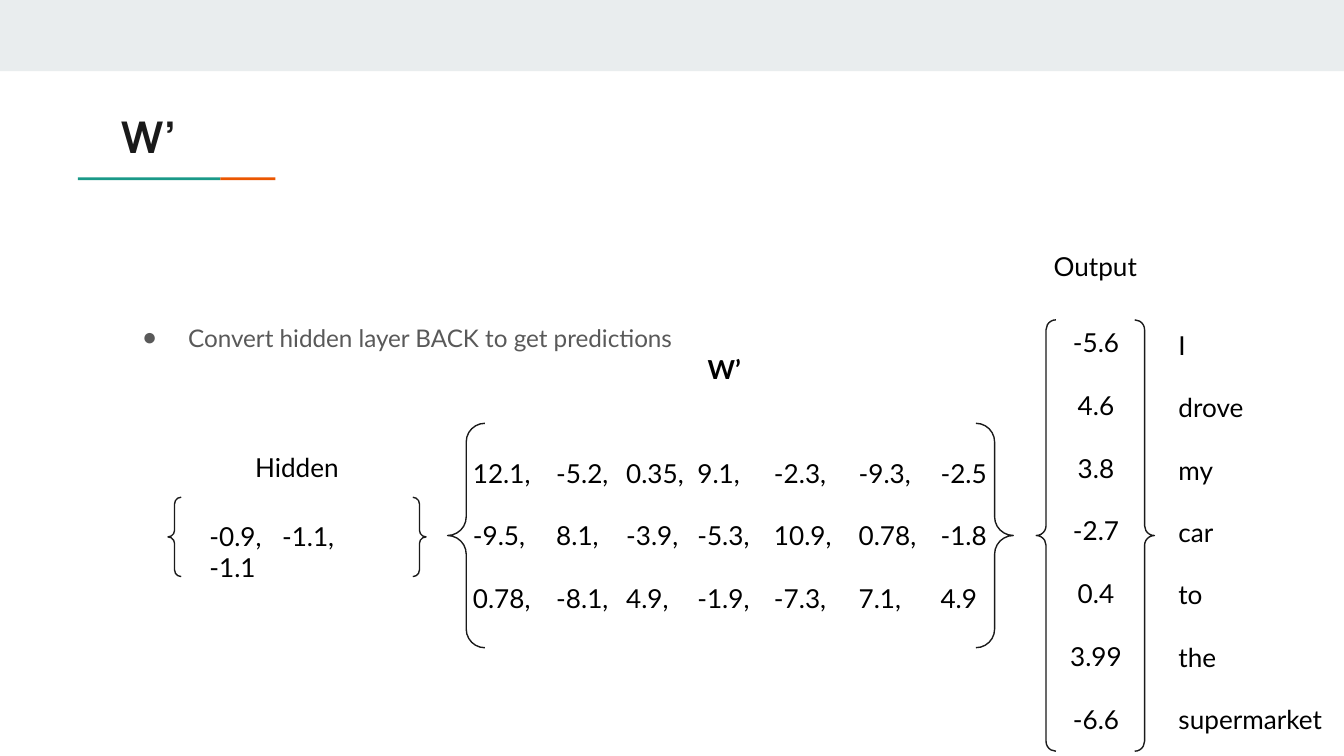
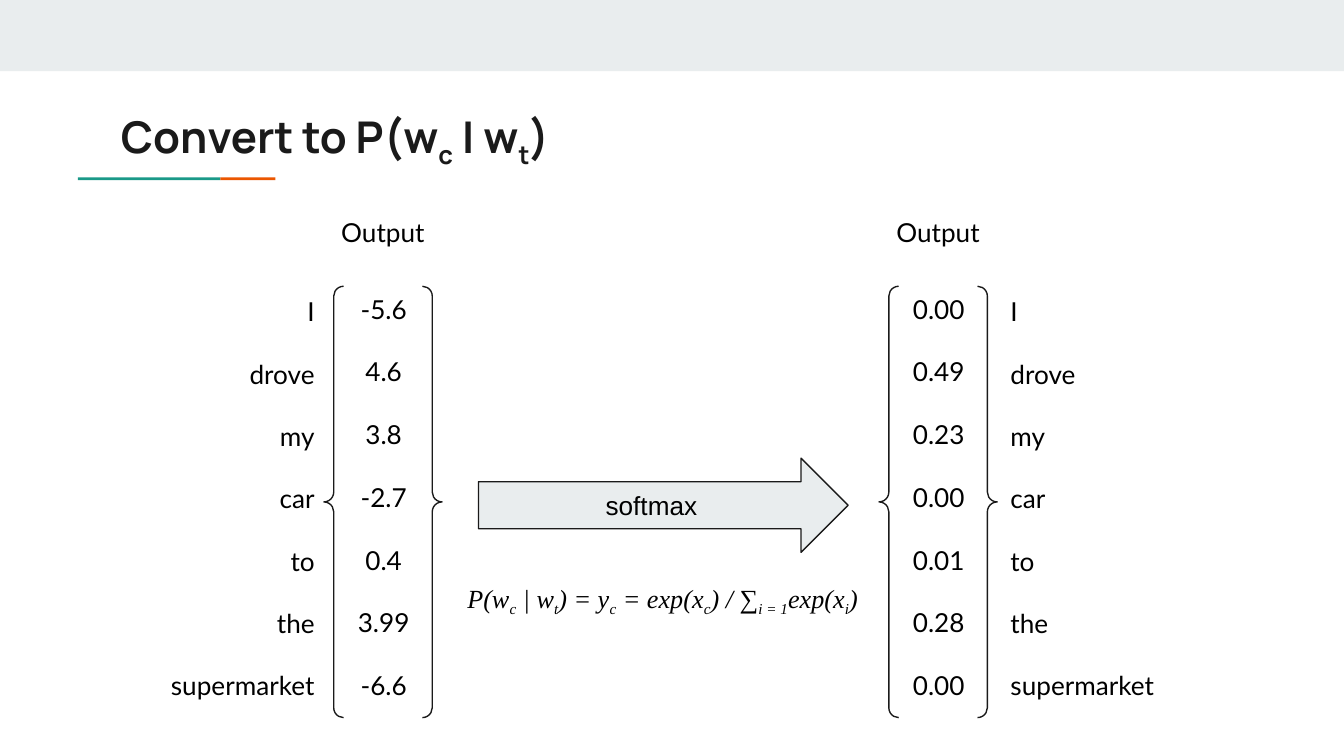
"""Build two slides on turning a hidden layer into word probabilities."""
import dataclasses

import lxml.etree
import pptx
import pptx.dml.color
import pptx.enum.shapes
import pptx.enum.text
import pptx.oxml.ns
import pptx.presentation
import pptx.shapes.autoshape
import pptx.slide
import pptx.text.text
import pptx.util

Inches = pptx.util.Inches
Pt = pptx.util.Pt
Align = pptx.enum.text.PP_ALIGN
Anchor = pptx.enum.text.MSO_ANCHOR
AutoSize = pptx.enum.text.MSO_AUTO_SIZE
Preset = pptx.enum.shapes.MSO_SHAPE
RGBColor = pptx.dml.color.RGBColor

BAND = RGBColor(0xE9, 0xED, 0xEE)
TEAL = RGBColor(0x1A, 0x99, 0x88)
ORANGE = RGBColor(0xEB, 0x56, 0x00)
INK = RGBColor(0x1A, 0x1A, 0x1A)
GREY = RGBColor(0x59, 0x59, 0x59)
BLACK = RGBColor(0, 0, 0)

ROW_GAP = 16.8
WORD_STEP = 0.464
WORDS = ["I", "drove", "my", "car", "to", "the", "supermarket"]
SCORES = ["-5.6", "4.6", "3.8", "-2.7", "0.4", "3.99", "-6.6"]
PROBABILITIES = ["0.00", "0.49", "0.23", "0.00", "0.01", "0.28", "0.00"]
WEIGHTS = [
    "12.1,\t-5.2,\t0.35,\t9.1,\t-2.3,\t-9.3,\t-2.5",
    "-9.5,\t8.1,\t-3.9,\t-5.3,\t10.9,\t0.78,\t-1.8",
    "0.78,\t-8.1,\t4.9,\t-1.9,\t-7.3,\t7.1,\t4.9",
]
WEIGHT_TABS = (0.62, 1.14, 1.67, 2.24, 2.87, 3.48)


@dataclasses.dataclass(frozen=True)
class Box:
    """Place and size in inches."""
    left: float
    top: float
    width: float
    height: float

    def lengths(self) -> tuple[pptx.util.Length, ...]:
        """Return left, top, width and height as lengths."""
        return tuple(Inches(v) for v in dataclasses.astuple(self))


@dataclasses.dataclass(frozen=True)
class OutputVector:
    """A braced column of values with one word beside each."""
    left: float
    top: float
    values: list[str]
    words_left: float
    words_align: Align = Align.LEFT


BAND_BOX = Box(0, 0, 10, 0.53)
TITLE_BOX = Box(0.8, 0.72, 8.41, 0.59)
RULES = [(Box(0.58, 1.32, 1.06, 0.02), TEAL), (Box(1.64, 1.32, 0.41, 0.02), ORANGE)]


def write_text(frame: pptx.text.text.TextFrame, lines: list[str], *, size: float = 14,
               font: str = "Lato", color: RGBColor = BLACK, bold: bool = False,
               italic: bool = False, align: Align = Align.LEFT, gap: float = 0,
               spacing: float = 1.0, bullet: str = "", tabs: tuple[float, ...] = (),
               anchor: Anchor = Anchor.TOP, auto_size: AutoSize = AutoSize.NONE) -> None:
    """Fill a frame with lines, setting the parts in braces as subscripts."""
    qn = pptx.oxml.ns.qn
    frame.word_wrap = True
    frame.auto_size = auto_size
    frame.vertical_anchor = anchor
    frame.margin_left = frame.margin_right = Inches(0.1)
    frame.margin_top = frame.margin_bottom = Inches(0.1)
    for index, line in enumerate(lines):
        paragraph = frame.add_paragraph() if index else frame.paragraphs[0]
        props = paragraph._p.get_or_add_pPr()
        if tabs:
            stops = lxml.etree.SubElement(props, qn("a:tabLst"))
            for tab in tabs:
                stop = lxml.etree.SubElement(stops, qn("a:tab"))
                stop.set("pos", str(Inches(tab)))
                stop.set("algn", "l")
        else:
            props.set("marL", str(Inches(0.5 if bullet else 0)))
            props.set("indent", str(Inches(-0.34 if bullet else 0)))
            mark = lxml.etree.SubElement(props, qn("a:buChar" if bullet else "a:buNone"))
            if bullet:
                mark.set("char", bullet)
        paragraph.alignment = align
        paragraph.line_spacing = spacing
        paragraph.space_before = Pt(gap if index else 0)
        paragraph.space_after = Pt(0)
        for part, piece in enumerate(line.replace("}", "{").split("{")):
            if not piece:
                continue
            run = paragraph.add_run()
            run.text = piece
            run.font.size = Pt(size)
            run.font.name = font
            run.font.color.rgb = color
            run.font.bold = bold
            run.font.italic = italic
            if part % 2:
                run.font._element.set("baseline", "-25000")


def add_label(slide: pptx.slide.Slide, box: Box, *lines: str, **style) -> None:
    """Add a text box that grows with its lines."""
    label = slide.shapes.add_textbox(*box.lengths())
    write_text(label.text_frame, list(lines), auto_size=AutoSize.SHAPE_TO_FIT_TEXT, **style)


def add_preset(slide: pptx.slide.Slide, preset: Preset, box: Box,
               fill: RGBColor | None = None,
               line: RGBColor | None = None) -> pptx.shapes.autoshape.Shape:
    """Add a preset shape without shadow."""
    shape = slide.shapes.add_shape(preset, *box.lengths())
    shape.shadow.inherit = False
    if fill is None:
        shape.fill.background()
    else:
        shape.fill.solid()
        shape.fill.fore_color.rgb = fill
    if line is None:
        shape.line.fill.background()
    else:
        shape.line.color.rgb = line
        shape.line.width = Pt(0.75)
    return shape


def add_braces(slide: pptx.slide.Slide, box: Box) -> None:
    """Draw a pair of braces."""
    add_preset(slide, Preset.DOUBLE_BRACE, box, line=INK)


def add_output(slide: pptx.slide.Slide, vector: OutputVector) -> None:
    """Draw an output vector with its heading and words."""
    left, top = vector.left, vector.top
    add_braces(slide, Box(left, top, 0.88, 3.21))
    add_label(slide, Box(left + 0.12, top - 0.05, 0.65, 3.27), *vector.values,
              align=Align.CENTER, gap=ROW_GAP)
    add_label(slide, Box(left - 0.08, top - 0.62, 1.04, 0.44), "Output", align=Align.CENTER)
    for row, word in enumerate(WORDS):
        add_label(slide, Box(vector.words_left, top - 0.03 + row * WORD_STEP, 1.3, 0.44),
                  word, align=vector.words_align)


def add_slide(deck: pptx.presentation.Presentation, title: str, body: str,
              body_box: Box, **body_style) -> pptx.slide.Slide:
    """Add a slide with band, rule, title and body."""
    slide = deck.slides.add_slide(deck.slide_layouts[1])
    add_preset(slide, Preset.RECTANGLE, BAND_BOX, fill=BAND)
    for box, color in RULES:
        add_preset(slide, Preset.RECTANGLE, box, fill=color)
    heading, content = slide.placeholders
    for placeholder, box in ((heading, TITLE_BOX), (content, body_box)):
        (placeholder.left, placeholder.top,
         placeholder.width, placeholder.height) = box.lengths()
    write_text(heading.text_frame, [title], size=23.4, font="Manrope", color=INK, bold=True)
    write_text(content.text_frame, [body], **body_style)
    return slide


def build_weights_slide(deck: pptx.presentation.Presentation) -> None:
    """Show the hidden layer multiplied by the weights."""
    slide = add_slide(deck, "W’", "Convert hidden layer BACK to get predictions",
                      Box(0.8, 2.27, 8.41, 2.47), size=13, color=GREY,
                      spacing=1.15, bullet="●")
    add_braces(slide, Box(3.33, 3.15, 4.21, 1.67))
    add_label(slide, Box(3.42, 3.3, 4.12, 1.38), *WEIGHTS, gap=ROW_GAP, tabs=WEIGHT_TABS)
    add_label(slide, Box(4.87, 2.53, 1.04, 0.44), "W’", bold=True, align=Align.CENTER)
    add_braces(slide, Box(1.25, 3.7, 1.92, 0.59))
    add_label(slide, Box(1.46, 3.77, 1.61, 0.67), "-0.9,\t-1.1,", "-1.1", tabs=(0.54,))
    add_label(slide, Box(1.69, 3.26, 1.04, 0.44), "Hidden", align=Align.CENTER)
    add_output(slide, OutputVector(7.71, 2.38, SCORES, 8.67))


def build_softmax_slide(deck: pptx.presentation.Presentation) -> None:
    """Show the scores turned into probabilities."""
    slide = add_slide(deck, "Convert to P(w{c} | w{t})",
                      "P(w{c} | w{t}) = y{c} = exp(x{c}) / ∑{i = 1}exp(x{i})",
                      Box(3.21, 4.23, 3.44, 0.66), font="Times New Roman",
                      italic=True, align=Align.CENTER)
    add_output(slide, OutputVector(6.54, 2.13, PROBABILITIES, 7.42))
    add_output(slide, OutputVector(2.41, 2.13, SCORES, 1.14, Align.RIGHT))
    softmax = add_preset(slide, Preset.RIGHT_ARROW, Box(3.56, 3.41, 2.75, 0.7), BAND, INK)
    write_text(softmax.text_frame, ["softmax"], font="Arial", align=Align.CENTER,
               anchor=Anchor.MIDDLE)


def main() -> None:
    """Build and save the deck."""
    deck = pptx.Presentation()
    deck.slide_width = Inches(10)
    deck.slide_height = deck.slide_width * 9 // 16
    build_weights_slide(deck)
    build_softmax_slide(deck)
    deck.save("out.pptx")


if __name__ == "__main__":
    main()
